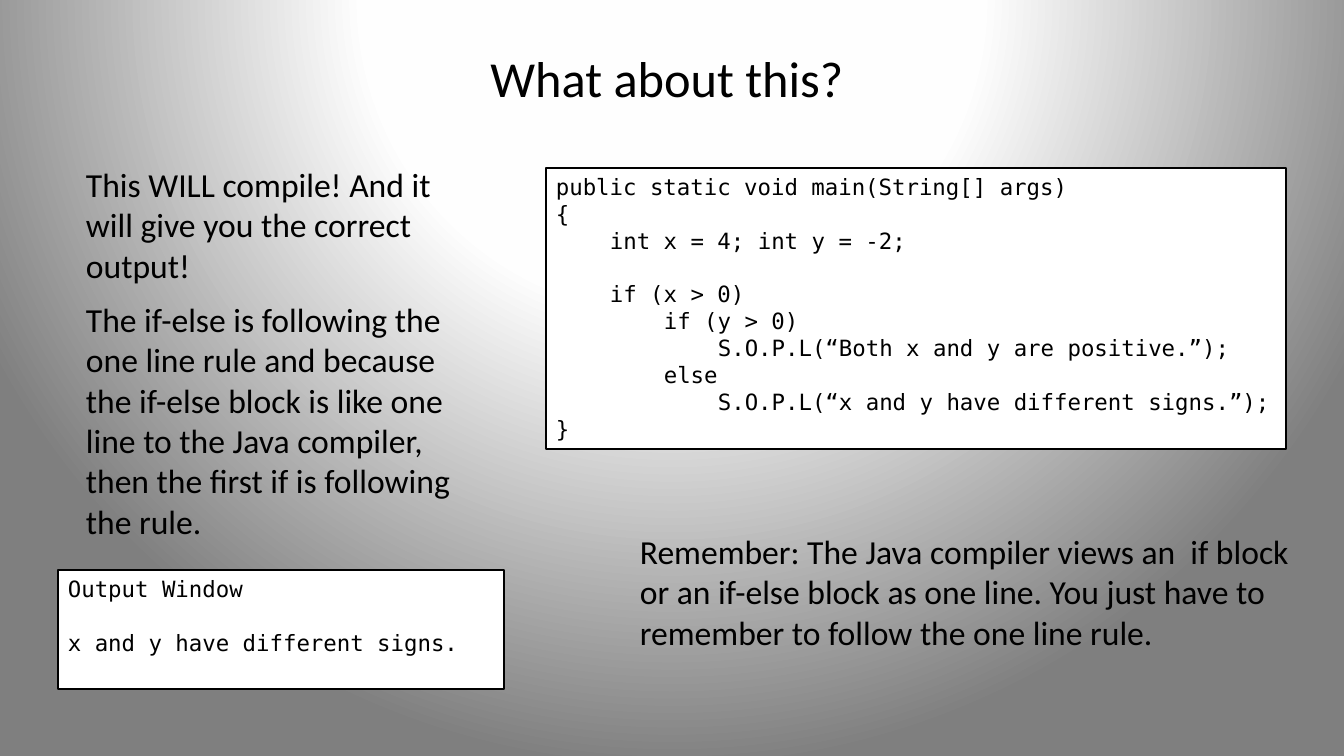
"""Build the slide on nested if-else blocks and the one line rule."""
from dataclasses import dataclass

from pptx import Presentation
from pptx.dml.color import RGBColor
from pptx.enum.shapes import MSO_SHAPE
from pptx.enum.text import MSO_ANCHOR, PP_ALIGN
from pptx.oxml import parse_xml
from pptx.oxml.ns import nsdecls
from pptx.util import Emu, Pt

RECT = MSO_SHAPE.RECTANGLE
TOP, MIDDLE = MSO_ANCHOR.TOP, MSO_ANCHOR.MIDDLE
LEFT, CENTER = PP_ALIGN.LEFT, PP_ALIGN.CENTER
SCALE = 914400 / 100.8


def px(n):
    """Turn pixels into EMU."""
    return Emu(round(n * SCALE))


@dataclass(frozen=True)
class Theme:
    """Colours, fonts and sizes of the slide."""
    ink: str = "000000"
    paper: str = "FFFFFF"
    glow: tuple = ((0, "FFFFFF"), (40, "FEFEFE"), (100, "7F7F7F"))
    body_font: str = "Calibri"
    code_font: str = "DejaVu Sans Mono"
    title: int = 36
    body: int = 24
    code: int = 16
    border: int = 2
    indent: int = 54
    code_gap: float = 19.2


class Deck:
    """Hold the style and the current slide."""

    def __init__(self, prs, theme):
        """Add a blank slide."""
        self.t = theme
        self.s = prs.slides.add_slide(prs.slide_layouts[6])

    def background(self):
        """Fill the slide with a circular gradient."""
        stops = "".join(
            f'<a:gs pos="{pos * 1000}"><a:srgbClr val="{c}"/></a:gs>'
            for pos, c in self.t.glow)
        self.s.element.cSld.insert(0, parse_xml(
            f'<p:bg {nsdecls("p", "a")}><p:bgPr><a:gradFill rotWithShape="1">'
            f'<a:gsLst>{stops}</a:gsLst><a:path path="circle">'
            '<a:fillToRect l="50000" t="-80000" r="50000" b="180000"/>'
            '</a:path></a:gradFill><a:effectLst/></p:bgPr></p:bg>'))

    def run(self, p, text, size, font):
        """Add one styled run."""
        r = p.add_run()
        r.text = text
        r.font.size = Pt(size)
        r.font.name = font
        r.font.color.rgb = RGBColor.from_string(self.t.ink)

    def text(self, box, lines, size, align=LEFT, anchor=TOP):
        """Add a text box with fixed line breaks."""
        sp = self.s.shapes.add_textbox(*map(px, box))
        tf = sp.text_frame
        tf.word_wrap = False
        tf.vertical_anchor = anchor
        p = tf.paragraphs[0]
        p.alignment = align
        for i, line in enumerate(lines):
            if i:
                p.add_line_break()
            self.run(p, line, size, self.t.body_font)

    def code(self, box, lines):
        """Add a bordered box of (level, text, gap before) lines."""
        sp = self.s.shapes.add_shape(RECT, *map(px, box))
        sp.shadow.inherit = False
        sp.fill.solid()
        sp.fill.fore_color.rgb = RGBColor.from_string(self.t.paper)
        sp.line.color.rgb = RGBColor.from_string(self.t.ink)
        sp.line.width = Pt(self.t.border)
        tf = sp.text_frame
        tf.word_wrap = True
        tf.vertical_anchor = TOP
        for i, (level, line, gap) in enumerate(lines):
            p = tf.add_paragraph() if i else tf.paragraphs[0]
            p.alignment = LEFT
            p.space_before = Pt(self.t.code_gap * gap)
            pPr = p._p.get_or_add_pPr()
            pPr.set("marL", str(px(level * self.t.indent)))
            pPr.set("indent", "0")
            self.run(p, line, self.t.code, self.t.code_font)


prs = Presentation()
prs.slide_width, prs.slide_height = px(1344), px(756)
theme = Theme()
deck = Deck(prs, theme)
deck.background()
deck.text((58, 25, 1218, 104), ["What about this?"], theme.title, CENTER, MIDDLE)
deck.code((546, 168, 740, 281), [
    (0, "public static void main(String[] args)", 0),
    (0, "{", 0),
    (1, "int x = 4; int y = -2;", 0),
    (1, "if (x > 0)", 1),
    (2, "if (y > 0)", 0),
    (3, "S.O.P.L(“Both x and y are positive.”);", 0),
    (2, "else", 0),
    (3, "S.O.P.L(“x and y have different signs.”);", 0),
    (0, "}", 0),
])
deck.text((76, 159, 366, 132), [
    "This WILL compile! And it",
    "will give you the correct",
    "output!",
], theme.body)
deck.text((76, 294, 390, 254), [
    "The if-else is following the",
    "one line rule and because",
    "the if-else block is like one",
    "line to the Java compiler,",
    "then the first if is following",
    "the rule.",
], theme.body)
deck.code((58, 570, 446, 119), [
    (0, "Output Window", 0),
    (0, "x and y have different signs.", 1),
])
deck.text((630, 526, 678, 132), [
    "Remember: The Java compiler views an  if block",
    "or an if-else block as one line. You just have to",
    "remember to follow the one line rule.",
], theme.body)
prs.save("out.pptx")
